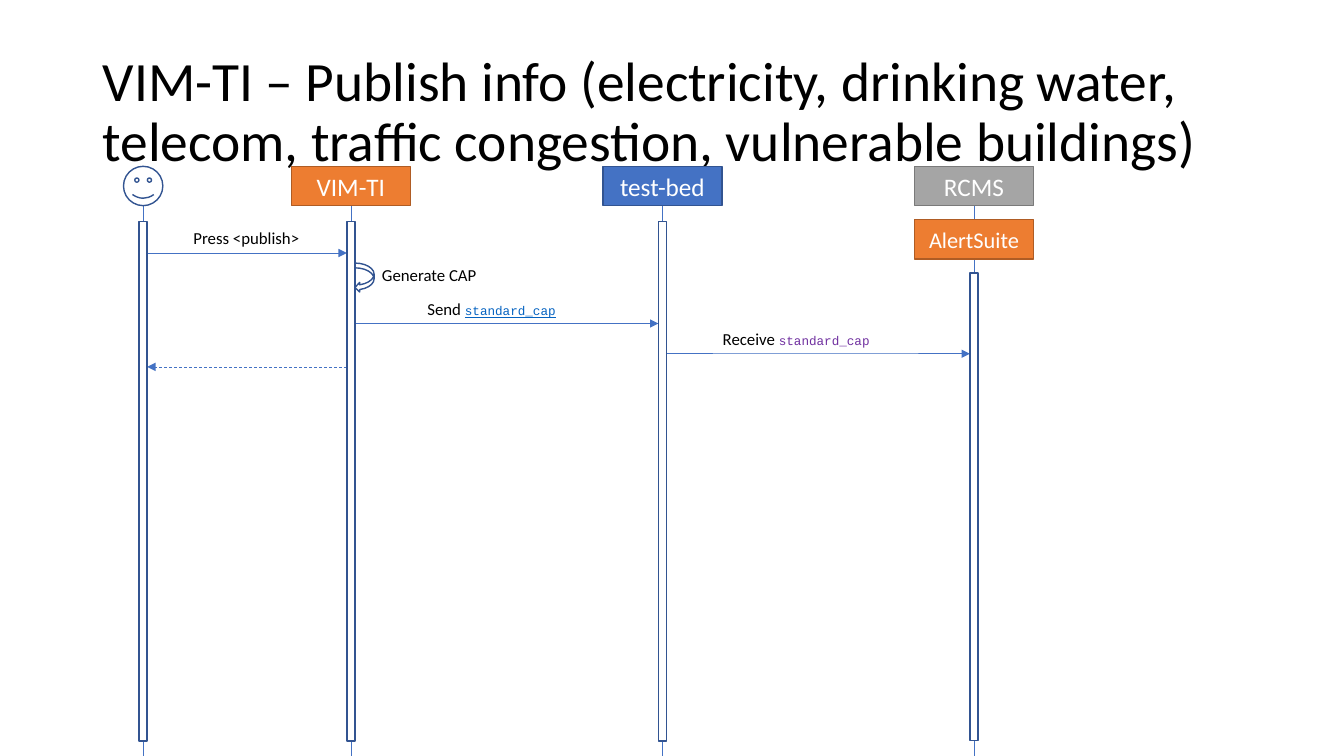
from pptx import Presentation
from pptx.dml.color import RGBColor
from pptx.enum.dml import MSO_LINE
from pptx.enum.shapes import MSO_CONNECTOR, MSO_SHAPE
from pptx.enum.text import MSO_ANCHOR, PP_ALIGN
from pptx.oxml.ns import qn
from pptx.util import Inches, Pt
from lxml import etree

RECT, SMILEY, SELF_CALL = MSO_SHAPE.RECTANGLE, MSO_SHAPE.SMILEY_FACE, MSO_SHAPE.CURVED_LEFT_ARROW
STRAIGHT, DASH = MSO_CONNECTOR.STRAIGHT, MSO_LINE.DASH
LEFT, CENTER = PP_ALIGN.LEFT, PP_ALIGN.CENTER
TOP, MIDDLE = MSO_ANCHOR.TOP, MSO_ANCHOR.MIDDLE

COLORS = {
    "white": "FFFFFF", "black": "000000",
    "blue": "4472C4", "blue_edge": "325491",
    "orange": "ED7D31", "orange_edge": "AF5C24",
    "gray": "A5A5A5", "gray_edge": "7A7A7A",
    "link": "0563C1", "visited": "7030A0",
}
RGB = {name: RGBColor.from_string(value) for name, value in COLORS.items()}

# Lifelines stand on a column grid
WIDTH, HEIGHT = 13.33, 7.5
COLUMN = 1.03
USER, SIMULATOR, TEST_BED, CRISIS = (1.42 + COLUMN * n for n in (0, 2, 5, 8))
HEAD_TOP, HEAD_W, HEAD_H = 1.65, 1.18, 0.39
BAR_TOP, BAR_BOTTOM, BAR_W = 2.2, 7.35, 0.08
HALF_BAR = BAR_W / 2

prs = Presentation()
prs.slide_width, prs.slide_height = Inches(WIDTH), Inches(HEIGHT)
slide = prs.slides.add_slide(prs.slide_layouts[6])


def add_box(kind, x, y, w, h, fill=None, edge=None):
    box = slide.shapes.add_shape(kind, Inches(x), Inches(y), Inches(w), Inches(h))
    box.shadow.inherit = False
    if fill:
        box.fill.solid()
        box.fill.fore_color.rgb = RGB[fill]
    else:
        box.fill.background()
    if edge:
        box.line.color.rgb = RGB[edge]
        box.line.width = Pt(1)
    else:
        box.line.fill.background()
    return box


def write(box, runs, align=LEFT, anchor=TOP, wrap=True):
    frame = box.text_frame
    frame.word_wrap = wrap
    frame.vertical_anchor = anchor
    paragraph = frame.paragraphs[0]
    paragraph.alignment = align
    for text, size, font, color, underline in runs:
        run = paragraph.add_run()
        run.text = text
        run.font.size = Pt(size)
        run.font.name = font
        run.font.color.rgb = RGB[color]
        run.font.underline = underline
    return paragraph


# Title
title = slide.shapes.add_textbox(Inches(0.92), Inches(0.4), Inches(11.5), Inches(1.45))
heading = "VIM-TI – Publish info (electricity, drinking water, telecom, traffic congestion, vulnerable buildings)"
write(title, [(heading, 39.6, "Calibri", "black", None)], anchor=MIDDLE).line_spacing = 0.9

# Lifelines and messages: from x, from y, to x, to y, arrow, dashed
lines = [(x, HEAD_TOP + HEAD_H, x, HEIGHT, False, False)
         for x in (USER, SIMULATOR, TEST_BED, CRISIS)]
for sender, receiver, y, dashed in [
    (USER, SIMULATOR, 2.51, False),
    (SIMULATOR, TEST_BED, 3.21, False),
    (TEST_BED, CRISIS, 3.51, False),
    (SIMULATOR, USER, 3.64, True),
]:
    gap = HALF_BAR if receiver > sender else -HALF_BAR
    lines.append((sender + gap, y, receiver - gap, y, True, dashed))

for x1, y1, x2, y2, arrow, dashed in lines:
    line = slide.shapes.add_connector(STRAIGHT, Inches(x1), Inches(y1), Inches(x2), Inches(y2))
    line.line.color.rgb = RGB["blue"]
    line.line.width = Pt(0.5)
    if dashed:
        line.line.dash_style = DASH
    if arrow:
        etree.SubElement(line.line._get_or_add_ln(), qn("a:tailEnd"), type="triangle")
    etree.SubElement(line._element.spPr, qn("a:effectLst"))

# Activation bars
for x, top in [(USER, BAR_TOP), (SIMULATOR, BAR_TOP), (TEST_BED, BAR_TOP), (CRISIS, 2.71)]:
    add_box(RECT, x - HALF_BAR, top, BAR_W, BAR_BOTTOM - top, "white", "blue_edge")

# Participants
add_box(SMILEY, USER - HEAD_H / 2, HEAD_TOP, HEAD_H, HEAD_H, edge="blue_edge")
for name, x, top, size, color in [
    ("VIM-TI", SIMULATOR, HEAD_TOP, 18, "orange"),
    ("test-bed", TEST_BED, HEAD_TOP, 18, "blue"),
    ("RCMS", CRISIS, HEAD_TOP, 18, "gray"),
    ("AlertSuite", CRISIS, 2.18, 16, "orange"),
]:
    head = add_box(RECT, x - HEAD_W / 2, top, HEAD_W, HEAD_H, color, color + "_edge")
    write(head, [(name, size, "Calibri", "white", None)], CENTER, MIDDLE)

# Self call
add_box(SELF_CALL, SIMULATOR + HALF_BAR, 2.61, 0.19, 0.29, edge="blue_edge")

# Message labels
for x, y, w, text, code in [
    (1.82, 2.21, 1.26, "Press <publish>", None),
    (3.69, 2.58, 1.15, "Generate CAP", None),
    (4.14, 2.91, 1.48, "Send ", ("standard_cap", 9, "Courier New", "link", True)),
]:
    label = slide.shapes.add_textbox(Inches(x), Inches(y), Inches(w), Inches(0.3))
    runs = [(text, 12, "Calibri", "black", None)]
    write(label, runs + [code] if code else runs, wrap=False)

# Half-transparent label
receive = add_box(RECT, 7.07, 3.21, 2.04, 0.3, "white")
white = receive._element.spPr.find(qn("a:solidFill"))[0]
etree.SubElement(white, qn("a:alpha"), val="50000")
write(receive, [("Receive ", 12, "Calibri", "black", None),
                ("standard_cap", 9, "Courier New", "visited", None)])

prs.save("out.pptx")
